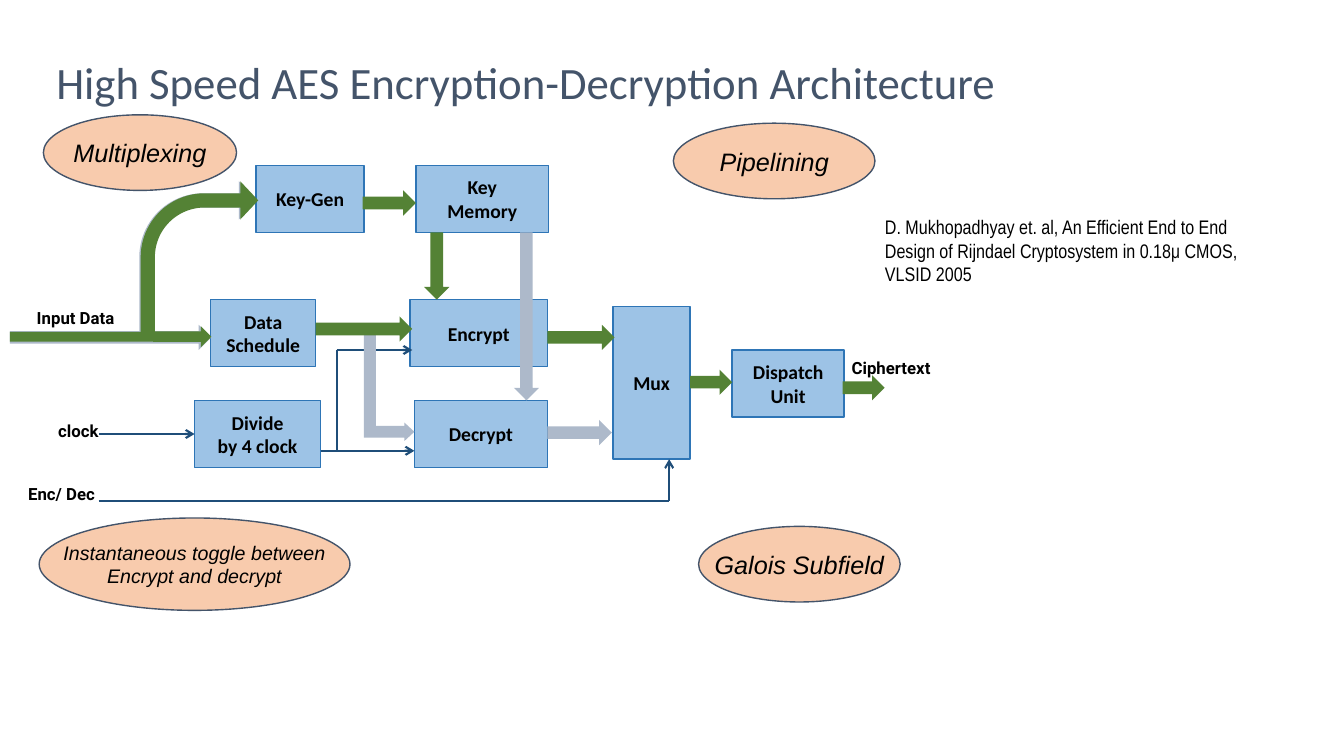
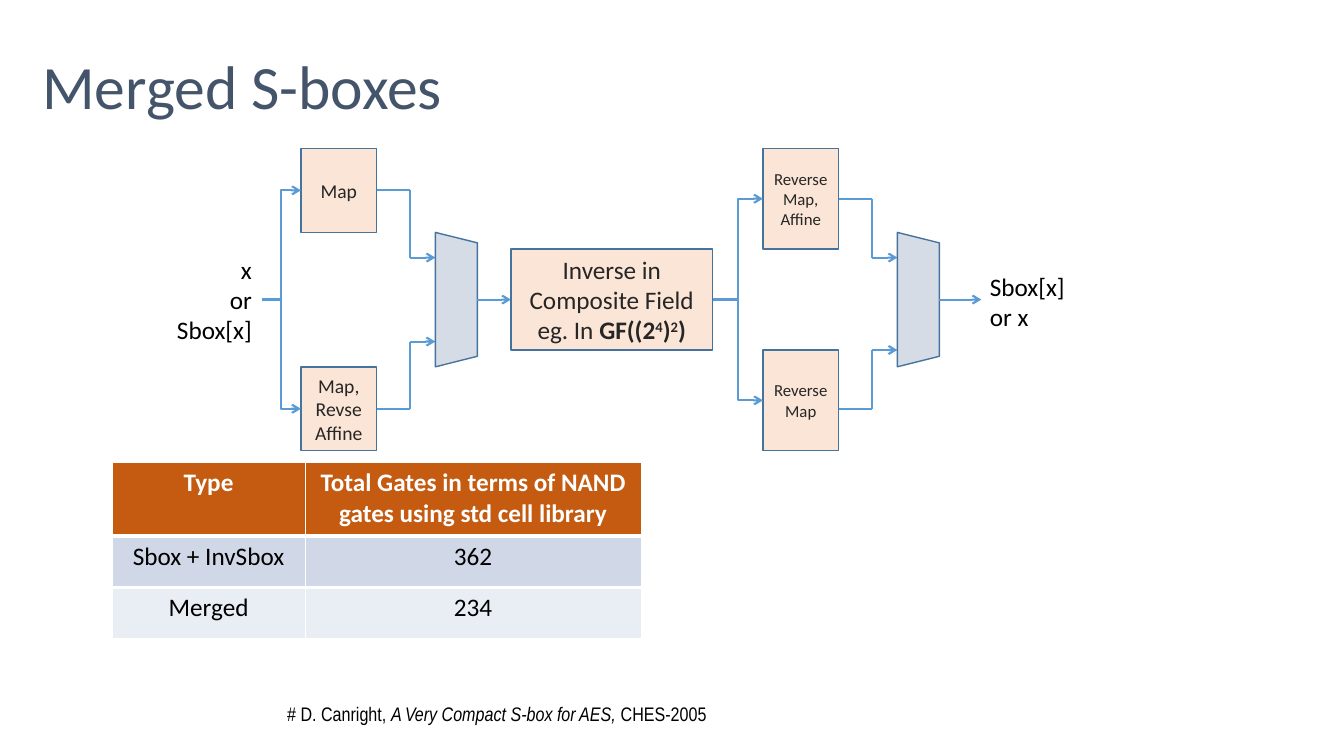
import pptx
import pptx.dml.color
import pptx.enum.shapes
import pptx.enum.text
import pptx.oxml.ns
import pptx.util
from lxml import etree

Pt = pptx.util.Pt
qn = pptx.oxml.ns.qn
KIND = pptx.enum.shapes.MSO_SHAPE
WIRE = pptx.enum.shapes.MSO_CONNECTOR
ALIGN = pptx.enum.text.PP_ALIGN
MID = pptx.enum.text.MSO_ANCHOR.MIDDLE
TOP = pptx.enum.text.MSO_ANCHOR.TOP

BLACK, WHITE, SLATE = "000000", "FFFFFF", "44546A"
GREEN, GREY = "548235", "ADB9CA"
NAVY, SKY, STEEL = "1F4E79", "5B9BD5", "43739E"
BLOCK = {"name": "Calibri", "size": Pt(14), "bold": True}
LABEL = {"name": "Roboto", "size": Pt(12), "bold": True}
CITE = {"name": "Arial Narrow", "size": Pt(14)}
BODY = {"name": "Calibri", "size": Pt(18)}


def paint(fill, tone):
    fill.solid()
    fill.fore_color.rgb = pptx.dml.color.RGBColor.from_string(tone)


def write(frame, lines, font, tone=BLACK, align=ALIGN.CENTER, anchor=MID, wrap=True):
    """Fill a frame; a line is a string or a list of (text, font changes)."""
    frame.word_wrap = wrap
    frame.vertical_anchor = anchor
    for i, line in enumerate(lines):
        para = frame.paragraphs[0] if i == 0 else frame.add_paragraph()
        para.alignment = align
        for text, extra in [(line, {})] if isinstance(line, str) else line:
            run = para.add_run()
            run.text = text
            look = {**font, **extra}
            power = look.pop("power", False)
            for key, value in look.items():
                setattr(run.font, key, value)
            paint(run.font.fill, tone)
            if power:
                run.font._element.set("baseline", "30000")


def note(slide, box, lines, font, align=ALIGN.LEFT):
    shape = slide.shapes.add_textbox(*map(Pt, box))
    write(shape.text_frame, lines, font, align=align, anchor=TOP)


def draw(slide, kind, box, tone, edge=None, turn=0, adj=()):
    shape = slide.shapes.add_shape(kind, *map(Pt, box))
    shape.shadow.inherit = False
    shape.rotation = turn
    paint(shape.fill, tone)
    if edge:
        paint(shape.line.fill, edge)
        shape.line.width = Pt(1)
    else:
        shape.line.fill.background()
    for i, value in enumerate(adj):
        shape.adjustments[i] = value
    return shape


def wire(slide, start, end, tone, arrow=True, kind=WIRE.STRAIGHT):
    line = slide.shapes.add_connector(kind, *map(Pt, (*start, *end)))
    paint(line.line.fill, tone)
    line.line.width = Pt(1.5)
    props = line._element.spPr
    if arrow:
        etree.SubElement(props.find(qn("a:ln")), qn("a:tailEnd"), type="arrow")
    etree.SubElement(props, qn("a:effectLst"))


def route(slide, points, tone, arrow=True):
    """Join points with straight lines, with the arrowhead on the last."""
    legs = list(zip(points, points[1:]))
    for i, (start, end) in enumerate(legs):
        wire(slide, start, end, tone, arrow and i == len(legs) - 1)


def page(deck, title, box, size):
    slide = deck.slides.add_slide(deck.slide_layouts[5])
    head = slide.shapes.title
    head.left, head.top, head.width, head.height = map(Pt, box)
    write(head.text_frame, [title], {"name": "Calibri", "size": Pt(size)},
          SLATE, ALIGN.LEFT)
    head.text_frame.auto_size = pptx.enum.text.MSO_AUTO_SIZE.NONE
    head.text_frame.paragraphs[0].line_spacing = 0.9
    return slide


def cipher(slide, left, top):
    """Draw the data path from the input to the ciphertext."""
    def put(x, y, *size):
        return (left + x, top + y, *size)

    blocks = [
        ((176, 0, 77, 48), ["Key-Gen"]),
        ((290, 0, 95, 48), ["Key", "Memory"]),
        ((286, 96, 98, 48), ["Encrypt"]),
        ((289, 168, 95, 48), ["Decrypt"]),
        ((431, 101, 55, 109), ["Mux"]),
        ((516, 132, 80, 48), ["Dispatch", "Unit"]),
        ((143.5, 96, 75, 48), ["Data", "Schedule"]),
        ((132, 168, 90, 48), ["Divide", "by 4 clock"]),
    ]
    for box, lines in blocks:
        shape = draw(slide, KIND.RECTANGLE, put(*box), "9DC3E6", "2E75B6")
        write(shape.text_frame, lines, BLOCK, wrap=False)

    labels = [
        ((582, 134, 95, 22), "Ciphertext"),
        ((0, 98, 94, 22), "Input Data"),
        ((6, 179, 86, 22), "clock"),
        ((-6, 224, 86, 22), "Enc/ Dec"),
    ]
    for box, text in labels:
        note(slide, put(*box), [text], LABEL, ALIGN.CENTER)

    paths = [
        [(222, 204), (289, 204)],
        [(233.5, 204), (233.5, 132), (287.5, 132)],
        [(64, 192), (132, 192)],
        [(63.5, 240), (471, 240), (471, 210)],
    ]
    for path in paths:
        route(slide, [put(*point) for point in path], NAVY)

    bend = (0.121, 0.163, 0.153, 0.543)
    arrows = [
        (KIND.RIGHT_ARROW, (0, 114, 144, 18), GREY),
        (KIND.BENT_ARROW, (92.5, 11.5, 84, 114), GREY, 0, bend),
        (KIND.DOWN_ARROW, (360, 48, 18, 120), GREY),
        (KIND.BENT_UP_ARROW, (229, 137, 84, 36), GREY, 90, (0.236, 0.182, 0.198)),
        (KIND.RIGHT_ARROW, (384, 182, 46, 18), GREY),
        (KIND.RIGHT_ARROW, (102, 115, 42, 15), GREEN),
        (KIND.RECTANGLE, (0, 119, 102, 7), GREEN),
        (KIND.BENT_ARROW, (93.5, 11.5, 84, 114), GREEN, 0, bend),
        (KIND.RIGHT_ARROW, (252, 18, 38, 18), GREEN),
        (KIND.RIGHT_ARROW, (218.5, 108, 69, 18), GREEN),
        (KIND.DOWN_ARROW, (296, 48, 18, 48), GREEN),
        (KIND.RIGHT_ARROW, (384, 114, 48, 18), GREEN),
        (KIND.RIGHT_ARROW, (486, 146, 30, 18), GREEN),
        (KIND.RIGHT_ARROW, (595, 150, 30, 18), GREEN),
    ]
    for kind, box, tone, *rest in arrows:
        draw(slide, kind, put(*box), tone, None, *rest)


def bubble(slide, box, lines, size=18):
    shape = draw(slide, KIND.OVAL, box, "F8CBAD", SLATE)
    frame = shape.text_frame
    write(frame, lines, {"name": "Arial", "size": Pt(size), "italic": True}, wrap=False)
    for side in ("left", "top", "right", "bottom"):
        setattr(frame, "margin_" + side, 0)


def cell(slide, box, lines, size):
    shape = draw(slide, KIND.RECTANGLE, box, "FBE5D6", STEEL)
    write(shape.text_frame, lines, {"name": "Calibri", "size": Pt(size)}, "262626")


def stage(slide, left, mid, source, boxes, size, low, out):
    """Split a source into two boxes and merge them in a selector."""
    ports = [(mid - 30, 0), (mid + low, 0)]
    for (top, high, leave, lines), (entry, _) in zip(boxes, ports):
        cell(slide, (left, top, 54, high), lines, size)
        wire(slide, (source, mid), (left, top + high / 2), SKY, kind=WIRE.ELBOW)
        turn = left + 78
        route(slide, [(left + 54, leave), (turn, leave), (turn, entry),
                      (left + 96, entry)], SKY)
    draw(slide, KIND.TRAPEZOID, (left + 63, mid - 15, 96, 30), "D6DCE5", STEEL, 90)
    wire(slide, (left + 126, mid), (out, mid), SKY)


def sbox(slide, left, top):
    """Draw both stages and the inverter between them."""
    mid = top + 108
    low = top + 186
    stage(slide, left + 28, mid, left, [
        (top, 60, top + 30, ["Map"]),
        (top + 156, 60, low, ["Map,", "Revse Affine"]),
    ], 14, 30, left + 178)
    cell(slide, (left + 178, mid - 36, 144, 72), [
        "Inverse in Composite Field",
        [("eg. In ", {}), ("GF((2", {"bold": True}),
         ("4", {"bold": True, "power": True}), (")", {"bold": True}),
         ("2", {"bold": True, "power": True}), (")", {"bold": True})],
    ], 18)
    stage(slide, left + 358, mid, left + 322, [
        (top, 72, top + 36, ["Reverse", "Map,", "Affine"]),
        (top + 144, 72, low, ["Reverse", "Map"]),
    ], 12, 36, left + 514)
    note(slide, (left - 80, mid - 36, 80, 73), ["x", "or", "Sbox[x]"], BODY, ALIGN.RIGHT)
    note(slide, (left + 513, mid - 24, 80, 51), ["Sbox[x]", "or x"], BODY)


def gates(slide, left, top):
    rows = [
        ("Type", "Total Gates in terms of NAND gates using std cell library"),
        ("Sbox + InvSbox", "362"),
        ("Merged", "234"),
    ]
    wide, high = (138, 240), (52.5, 36.75, 36.75)
    tones = ("C55A11", "D0D8E8", "E9EDF4")
    grid = slide.shapes.add_table(
        len(rows), len(wide), *map(Pt, (left, top, sum(wide), sum(high)))).table
    grid.horz_banding = False
    for column, width in zip(grid.columns, wide):
        column.width = Pt(width)
    for r, row in enumerate(rows):
        grid.rows[r].height = Pt(high[r])
        edges = {"L": 1, "R": 1, "T": 3 if r else 1, "B": 1 if r == 2 else 3}
        for c, text in enumerate(row):
            item = grid.cell(r, c)
            write(item.text_frame, [text], {**BODY, "bold": r == 0},
                  BLACK if r else WHITE)
            item.vertical_anchor = TOP
            props = item._tc.get_or_add_tcPr()
            for side, width in edges.items():
                line = etree.SubElement(props, qn("a:ln" + side), w=str(Pt(width)))
                solid = etree.SubElement(line, qn("a:solidFill"))
                etree.SubElement(solid, qn("a:srgbClr"), val=WHITE)
            paint(item.fill, tones[r])


def main():
    deck = pptx.Presentation()
    deck.slide_width, deck.slide_height = Pt(960), Pt(540)

    slide = page(deck, "High Speed AES Encryption-Decryption Architecture",
                 (33, 9, 873, 104), 32)
    cipher(slide, 7, 118)
    bubble(slide, (31, 82, 138, 54), ["Multiplexing"])
    bubble(slide, (481, 88, 144, 54), ["Pipelining"])
    bubble(slide, (28, 370, 222, 66),
           ["Instantaneous toggle between", "Encrypt and decrypt"], 14)
    bubble(slide, (499, 376, 144, 54), ["Galois Subfield"])
    note(slide, (625, 150, 281, 58),
         ["D. Mukhopadhyay et. al, An Efficient End to End Design of Rijndael "
          "Cryptosystem in 0.18μ CMOS, VLSID 2005"], CITE)

    slide = page(deck, "Merged S-boxes", (23, 12, 828, 104), 44)
    sbox(slide, 187, 106)
    gates(slide, 80, 330.5)
    note(slide, (198, 498, 456, 24),
         [[("# D. Canright, ", {}),
           ("A Very Compact S-box for AES, ", {"italic": True}),
           ("CHES-2005", {})]], CITE)
    deck.save("out.pptx")


if __name__ == "__main__":
    main()
